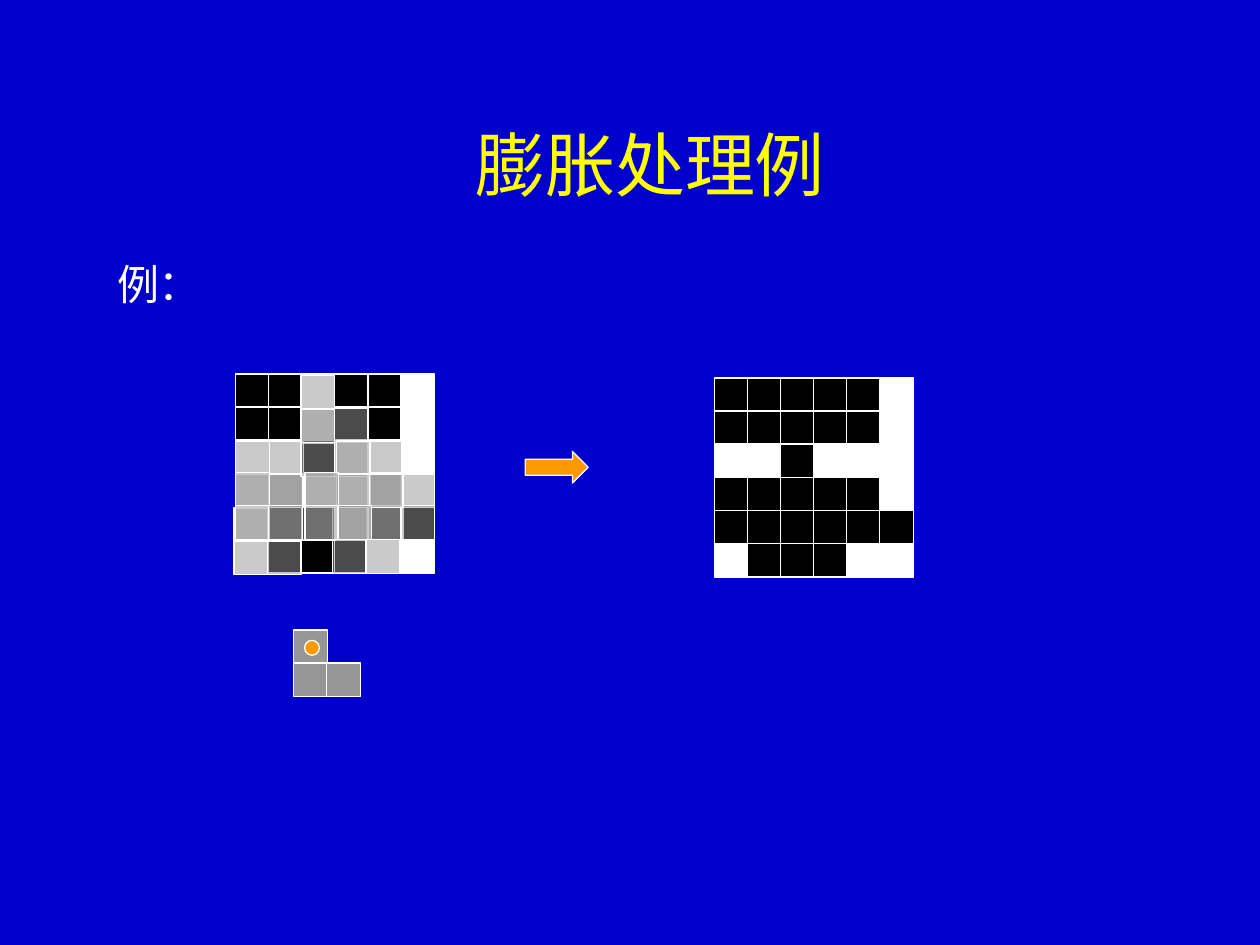
from lxml.etree import SubElement
from pptx import Presentation
from pptx.dml.color import RGBColor
from pptx.enum.shapes import MSO_SHAPE
from pptx.enum.text import MSO_ANCHOR, PP_ALIGN
from pptx.oxml.ns import qn
from pptx.util import Cm, Pt

FONT = "Noto Sans CJK SC"
BLUE = RGBColor(0x00, 0x00, 0xCC)
YELLOW = RGBColor(0xFF, 0xFF, 0x00)
WHITE = RGBColor(0xFF, 0xFF, 0xFF)
BLACK = RGBColor(0x00, 0x00, 0x00)
GREY = RGBColor(0x96, 0x96, 0x96)
ORANGE = RGBColor(0xFF, 0x99, 0x00)

# Pixel grids, in centimetres
GRID_SIZE = 4
PITCH = GRID_SIZE / 6
CELL = 0.68

SOURCE_PIXELS = ["110110", "110110", "001000", "000000", "011011", "011100"]
DILATED_PIXELS = ["111110", "111110", "001000", "111110", "111111", "011100"]

# Cells of the L-shaped structuring element, as (column, row)
ELEMENT_CELLS = [(0, 0), (0, 1), (1, 1)]

# Top left corner of each translucent element laid on the source grid
STAMPS = [
    (7.42, 8.89), (6.71, 10.21), (5.41, 9.55), (4.75, 8.89), (5.44, 8.89),
    (6.78, 9.53), (7.42, 9.53), (6.07, 7.57), (6.07, 8.26), (6.78, 8.89),
    (4.72, 10.24), (4.75, 9.53), (6.15, 9.53),
]


def add_outlined_shape(shapes, kind, left, top, width, height, color):
    shape = shapes.add_shape(kind, Cm(left), Cm(top), Cm(width), Cm(height))
    shape.shadow.inherit = False
    shape.fill.solid()
    shape.fill.fore_color.rgb = color
    shape.line.color.rgb = WHITE
    shape.line.width = Pt(0.75)
    return shape


def add_cell(shapes, left, top, column, row, color):
    return add_outlined_shape(
        shapes, MSO_SHAPE.RECTANGLE,
        left + column * PITCH, top + row * PITCH, CELL, CELL, color)


def add_pixel_grid(slide, left, top, pixels):
    group = slide.shapes.add_group_shape()
    for row, line in enumerate(pixels):
        for column, pixel in enumerate(line):
            color = BLACK if pixel == "1" else WHITE
            add_cell(group.shapes, left, top, column, row, color)


def add_element(slide, left, top, opacity=100):
    group = slide.shapes.add_group_shape()
    for column, row in ELEMENT_CELLS:
        cell = add_cell(group.shapes, left, top, column, row, GREY)
        if opacity < 100:
            fill_color = cell.fill._xPr.find(qn("a:solidFill"))[0]
            SubElement(fill_color, qn("a:alpha"), val=str(opacity * 1000))
    return group


def write_text(text_frame, text, size, color, alignment):
    text_frame.text = text
    paragraph = text_frame.paragraphs[0]
    paragraph.alignment = alignment
    font = paragraph.runs[0].font
    font.name = FONT
    font.size = Pt(size)
    font.color.rgb = color
    SubElement(font._element, qn("a:ea"), typeface=FONT)


def set_title(slide, text):
    title = slide.shapes.title
    title.left, title.top = Cm(3.25), Cm(1.7)
    title.width, title.height = Cm(19.71), Cm(3.18)
    title.text_frame.vertical_anchor = MSO_ANCHOR.MIDDLE
    write_text(title.text_frame, text, 40, YELLOW, PP_ALIGN.CENTER)


def add_label(slide, text):
    label = slide.shapes.add_textbox(Cm(2.11), Cm(5.08), Cm(17.15), Cm(1.27))
    label.text_frame.word_wrap = True
    write_text(label.text_frame, text, 24, WHITE, PP_ALIGN.LEFT)


def main():
    presentation = Presentation()
    presentation.slide_width, presentation.slide_height = Cm(25.4), Cm(19.05)
    slide = presentation.slides.add_slide(presentation.slide_layouts[5])
    slide.background.fill.solid()
    slide.background.fill.fore_color.rgb = BLUE

    # Heading
    set_title(slide, "膨胀处理例")
    add_label(slide, "例：")

    # Source grid with the element stamped over it
    add_pixel_grid(slide, 4.75, 7.54, SOURCE_PIXELS)
    for left, top in STAMPS:
        add_element(slide, left, top, opacity=50)

    # Structuring element with its origin marked
    element = add_element(slide, 5.92, 12.7)
    add_outlined_shape(element.shapes, MSO_SHAPE.OVAL,
                       6.14, 12.91, 0.3, 0.3, ORANGE)

    # Arrow to the dilated result
    add_outlined_shape(slide.shapes, MSO_SHAPE.RIGHT_ARROW,
                       10.59, 9.1, 1.27, 0.64, ORANGE)
    add_pixel_grid(slide, 14.4, 7.62, DILATED_PIXELS)

    presentation.save("out.pptx")


if __name__ == "__main__":
    main()
